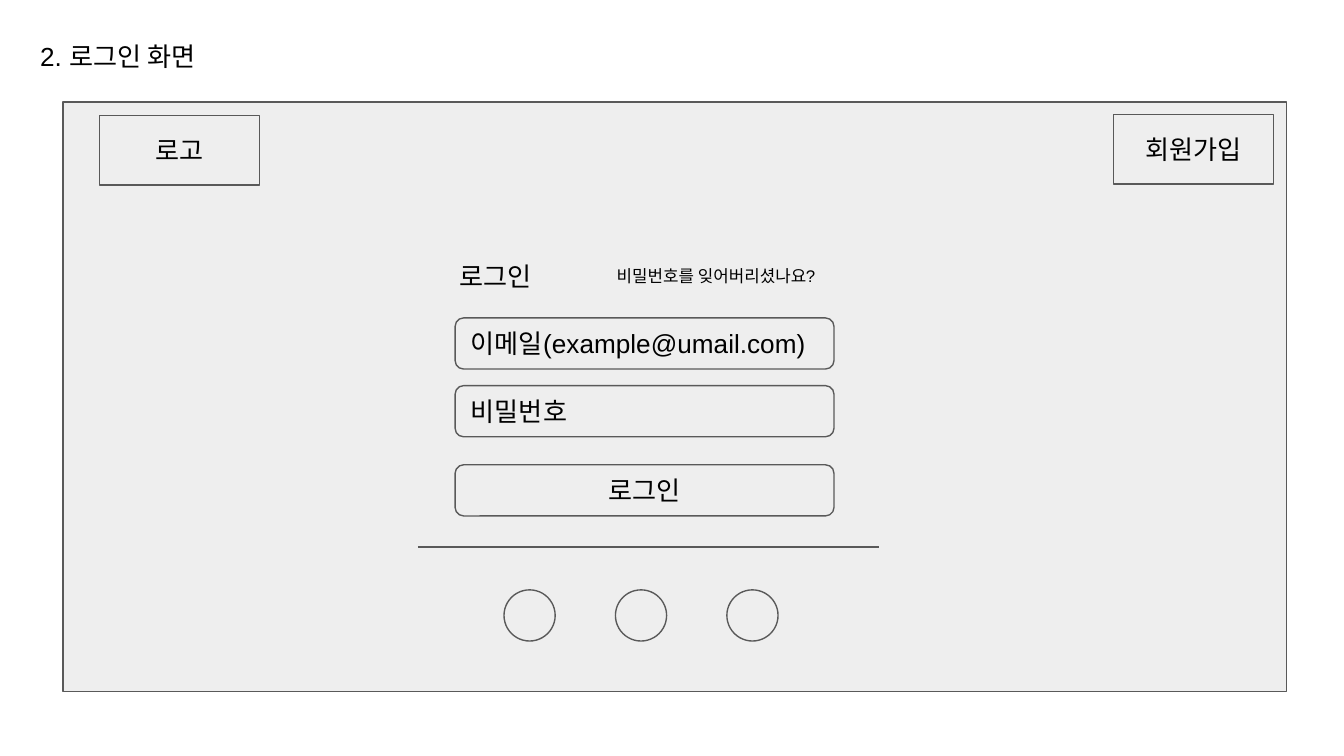
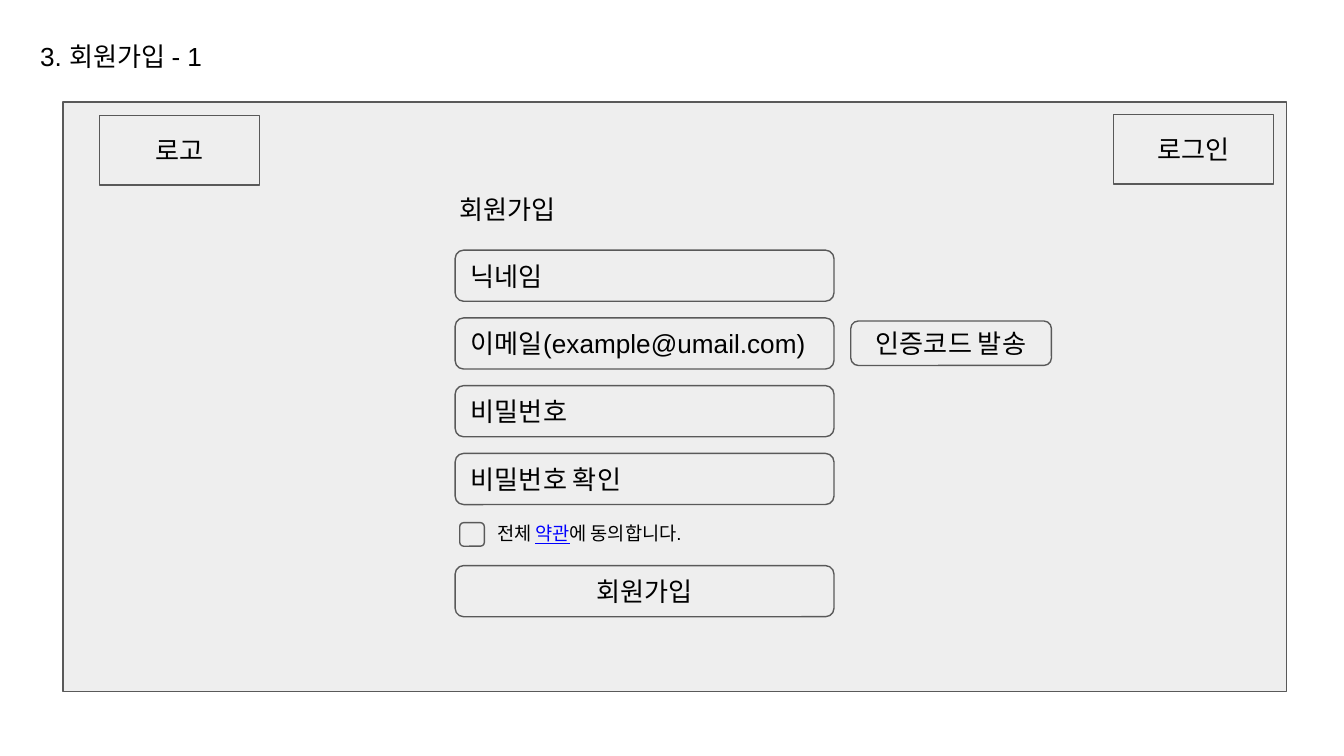
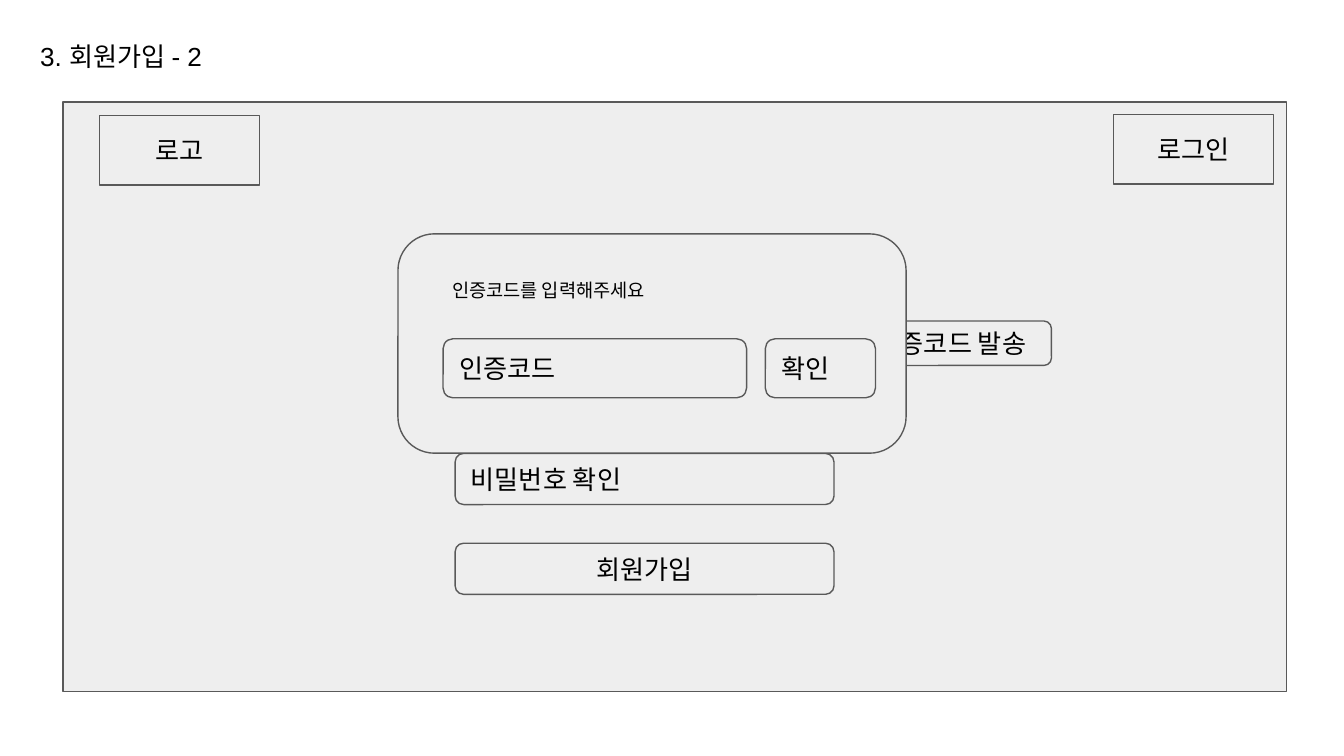
from dataclasses import dataclass

from lxml.etree import SubElement
from pptx import Presentation
from pptx.dml.color import RGBColor
from pptx.enum.shapes import MSO_CONNECTOR, MSO_SHAPE
from pptx.enum.text import MSO_ANCHOR, MSO_AUTO_SIZE, PP_ALIGN
from pptx.oxml.ns import qn
from pptx.util import Pt


@dataclass(frozen=True)
class Theme:
    font: str = "Arial"
    text: RGBColor = RGBColor(0x00, 0x00, 0x00)
    link: RGBColor = RGBColor(0x00, 0x00, 0xFF)
    fill: RGBColor = RGBColor(0xEE, 0xEE, 0xEE)
    outline: RGBColor = RGBColor(0x59, 0x59, 0x59)
    outline_width: float = 0.75
    inset: float = 7.2
    body: int = 14
    note: int = 10
    hint: int = 9


FIELD_LEFT, FIELD_WIDTH, FIELD_HEIGHT = 243.8, 203, 27.4
FIRST_ROW_TOP, ROW_STEP = 134, 36.3
NICKNAME_ROW, EMAIL_ROW, PASSWORD_ROW, CONFIRM_ROW = [
    FIRST_ROW_TOP + ROW_STEP * row for row in range(4)
]
HEADING_LEFT = 239
CIRCLE_LEFT, CIRCLE_STEP, CIRCLE_COUNT = 270, 59.7, 3


class Wireframe:
    def __init__(self, presentation, theme):
        self.presentation = presentation
        self.theme = theme
        self.slide = None

    def start_screen(self, title, corner_button):
        """Add a slide with its title, page frame, logo box and corner button."""
        self.slide = self.presentation.slides.add_slide(
            self.presentation.slide_layouts[6])
        self.label([title], 14.4, 14.4, 124.6, 31.7)
        self.box(MSO_SHAPE.RECTANGLE, 33.7, 54.7, 655.7, 315.8)
        self.box(MSO_SHAPE.RECTANGLE, 53.2, 61.8, 85.7, 37.4, "로고")
        self.box(MSO_SHAPE.RECTANGLE, 596.4, 61.2, 85.7, 37.4, corner_button)

    def set_text(self, text_frame, runs, size, align):
        theme = self.theme
        text_frame.word_wrap = True
        text_frame.margin_left = text_frame.margin_right = Pt(theme.inset)
        text_frame.margin_top = text_frame.margin_bottom = Pt(theme.inset)
        paragraph = text_frame.paragraphs[0]
        paragraph.alignment = align
        paragraph.font.name = theme.font
        paragraph.font.size = Pt(size)
        paragraph.font.color.rgb = theme.text
        for text in runs:
            paragraph.add_run().text = text
        return paragraph

    def label(self, runs, left, top, width, height, size=None):
        text_box = self.slide.shapes.add_textbox(
            Pt(left), Pt(top), Pt(width), Pt(height))
        text_frame = text_box.text_frame
        text_frame.auto_size = MSO_AUTO_SIZE.SHAPE_TO_FIT_TEXT
        return self.set_text(text_frame, runs, size or self.theme.body, PP_ALIGN.LEFT)

    def box(self, kind, left, top, width, height, text=None, align=PP_ALIGN.CENTER):
        shape = self.slide.shapes.add_shape(
            kind, Pt(left), Pt(top), Pt(width), Pt(height))
        shape.shadow.inherit = False
        shape.fill.solid()
        shape.fill.fore_color.rgb = self.theme.fill
        self.outline(shape.line)
        if text:
            shape.text_frame.vertical_anchor = MSO_ANCHOR.MIDDLE
            self.set_text(shape.text_frame, [text], self.theme.body, align)

    def outline(self, line):
        line.color.rgb = self.theme.outline
        line.width = Pt(self.theme.outline_width)

    def button(self, text, top, left=FIELD_LEFT, width=FIELD_WIDTH,
               height=FIELD_HEIGHT, align=PP_ALIGN.CENTER):
        self.box(MSO_SHAPE.ROUNDED_RECTANGLE, left, top, width, height, text, align)

    def field(self, text, top, **place):
        self.button(text, top, align=PP_ALIGN.LEFT, **place)

    def send_code_button(self):
        self.button("인증코드 발송", 172, left=455.8, width=107.5, height=23.8)

    def divider(self, left, right, top):
        connector = self.slide.shapes.add_connector(
            MSO_CONNECTOR.STRAIGHT, Pt(left), Pt(top), Pt(right), Pt(top))
        self.outline(connector.line)
        SubElement(connector._element.spPr, qn("a:effectLst"))


def build_login(wireframe):
    wireframe.start_screen("2. 로그인 화면", "회원가입")
    wireframe.label(["로그인"], HEADING_LEFT, 132.5, 60.5, 31.7)
    wireframe.field("이메일(example@umail.com)", EMAIL_ROW)
    wireframe.field("비밀번호", PASSWORD_ROW)
    wireframe.button("로그인", 249)
    wireframe.label(["비밀번호를 잊어버리셨나요?"], 323.3, 136.8, 147.6, 25.2,
                    wireframe.theme.hint)
    wireframe.divider(223.9, 470.9, 293)
    for index in range(CIRCLE_COUNT):
        wireframe.box(MSO_SHAPE.OVAL, CIRCLE_LEFT + CIRCLE_STEP * index, 316,
                      FIELD_HEIGHT, FIELD_HEIGHT)


def build_sign_up(wireframe):
    wireframe.start_screen("3. 회원가입 - 1", "로그인")
    wireframe.label(["회원가입"], HEADING_LEFT, 96.5, 84.2, 31.7)
    wireframe.field("이메일(example@umail.com)", EMAIL_ROW)
    wireframe.field("비밀번호", PASSWORD_ROW)
    wireframe.button("회원가입", 303)
    wireframe.field("비밀번호 확인", CONFIRM_ROW)
    wireframe.send_code_button()
    wireframe.box(MSO_SHAPE.ROUNDED_RECTANGLE, 246.3, 280, 13.2, 12.6)
    consent = wireframe.label(["전체 ", "약관", "에 동의합니다."], 259.2, 273.6,
                              172, 26.6, wireframe.theme.note)
    terms = consent.runs[1].font
    terms.color.rgb = wireframe.theme.link
    terms.underline = True
    wireframe.field("닉네임", NICKNAME_ROW)


def build_code_dialog(wireframe):
    wireframe.start_screen("3. 회원가입 - 2", "로그인")
    wireframe.button("회원가입", 291)
    wireframe.field("비밀번호 확인", CONFIRM_ROW)
    wireframe.send_code_button()
    wireframe.box(MSO_SHAPE.ROUNDED_RECTANGLE, 213.2, 125.3, 272.2, 117.5)
    wireframe.label(["인증코드를 입력해주세요"], 235.2, 143.3, 222.5, 26.6,
                    wireframe.theme.note)
    wireframe.field("인증코드", 181.5, left=237.4, width=162.6, height=31.6)
    wireframe.field("확인", 181.5, left=410, width=59, height=31.6)


def main():
    presentation = Presentation()
    presentation.slide_width = Pt(720)
    presentation.slide_height = Pt(405)
    wireframe = Wireframe(presentation, Theme())
    build_login(wireframe)
    build_sign_up(wireframe)
    build_code_dialog(wireframe)
    presentation.save("out.pptx")


if __name__ == "__main__":
    main()
